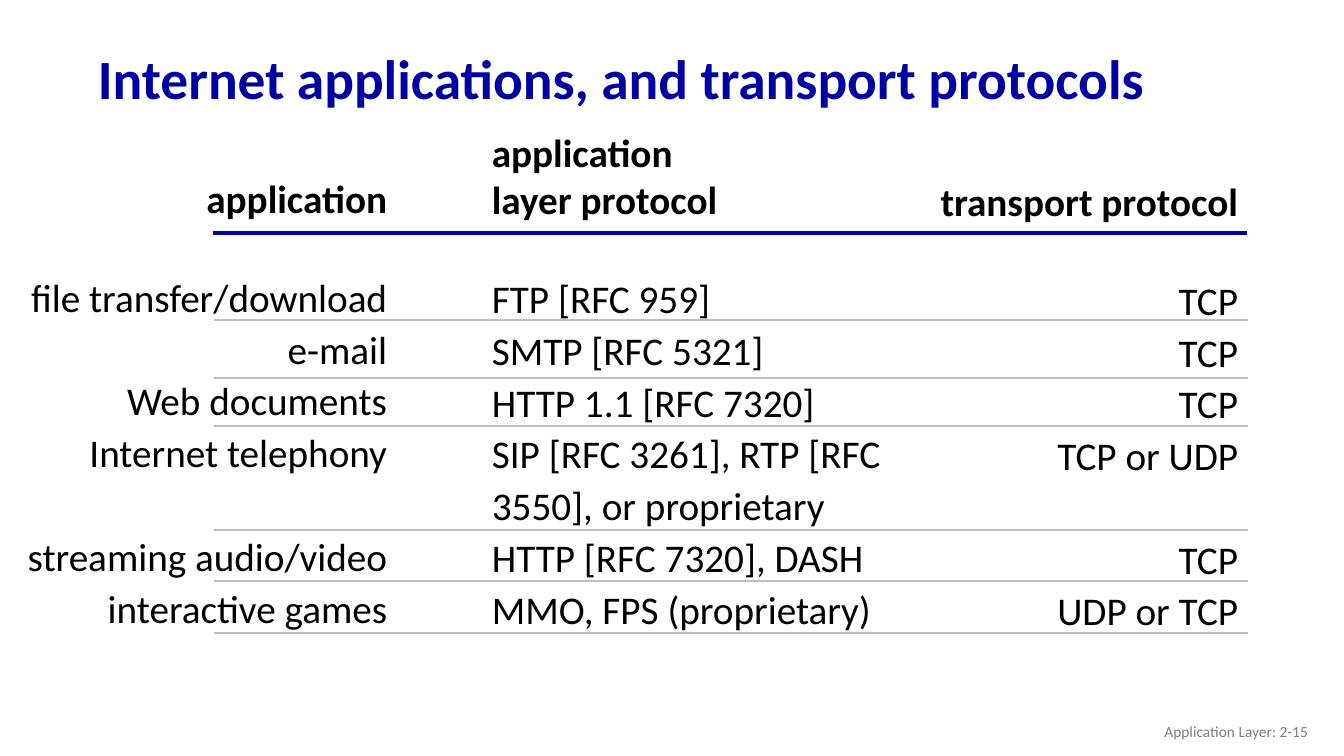
"""Build the slide on Internet applications and their transport protocols."""
import pptx
import pptx.dml.color
import pptx.enum.shapes
import pptx.enum.text
import pptx.oxml
import pptx.util

EMU_PER_PX = 914400 / 100.8
FONT = "Calibri"
COLORS = {
    "title": "0000A3",
    "header_rule": "0000A8",
    "row_rule": "BFBFBF",
    "text": "000000",
    "footer": "7F7F7F",
}
LEFT = pptx.enum.text.PP_ALIGN.LEFT
RIGHT = pptx.enum.text.PP_ALIGN.RIGHT
TABLE_SIZE = 28
HEADER_GAP = 34
EMPTY_ROW_GAP = 37
ROW_RULE_TOPS = (320, 378, 426, 530, 581, 633)


def px(length):
    """Turn a length in px into EMU."""
    return pptx.util.Emu(round(length * EMU_PER_PX))


def color(name):
    """Look up a colour by its name."""
    return pptx.dml.color.RGBColor.from_string(COLORS[name])


def add_box(slide, left, top, width, height, text, middle=False):
    """Add a wrapping text box and return its text frame."""
    shape = slide.shapes.add_textbox(px(left), px(top), px(width), px(height))
    text_frame = shape.text_frame
    text_frame.word_wrap = True
    if middle:
        text_frame.vertical_anchor = pptx.enum.text.MSO_ANCHOR.MIDDLE
    text_frame.text = text
    return text_frame


def style(paragraph, size, color_name, bold=False, align=LEFT):
    """Set the alignment of a paragraph and the font of its runs."""
    paragraph.alignment = align
    for run in paragraph.runs:
        run.font.name = FONT
        run.font.size = pptx.util.Pt(size)
        run.font.bold = bold
        run.font.color.rgb = color(color_name)


def add_label(slide, bounds, text, size, color_name, bold=False, align=LEFT):
    """Add a single line of text centred vertically in its box."""
    paragraph = add_box(slide, *bounds, text, middle=True).paragraphs[0]
    style(paragraph, size, color_name, bold, align)
    return paragraph


def add_column(slide, bounds, headers, rows, align, row_after_gap=None):
    """Add a column with bold header lines above its rows."""
    text_frame = add_box(slide, *bounds, "\n".join(headers + rows))
    for index, paragraph in enumerate(text_frame.paragraphs):
        row = index - len(headers)
        style(paragraph, TABLE_SIZE, "text", row < 0, align)
        if row >= 0:
            paragraph.line_spacing = 1.1
        if row == 0:
            paragraph.space_before = pptx.util.Pt(HEADER_GAP)
        elif row == row_after_gap:
            paragraph.space_before = pptx.util.Pt(EMPTY_ROW_GAP)


def add_rule(slide, left, right, top, color_name, width):
    """Add a horizontal rule without a shadow."""
    connector = slide.shapes.add_connector(
        pptx.enum.shapes.MSO_CONNECTOR.STRAIGHT, px(left), px(top), px(right), px(top)
    )
    connector.line.color.rgb = color(color_name)
    connector.line.width = pptx.util.Pt(width)
    properties = connector._element.spPr
    properties.append(properties.makeelement(pptx.oxml.ns.qn("a:effectLst"), {}))


def main():
    """Build and save the presentation."""
    presentation = pptx.Presentation()
    presentation.slide_width = px(1344)
    presentation.slide_height = px(756)
    slide = presentation.slides.add_slide(presentation.slide_layouts[6])

    title = add_label(
        slide, (88, 32, 1159, 99),
        "Internet applications, and transport protocols", 39.6, "title", bold=True,
    )
    title.line_spacing = 0.9

    add_column(
        slide, (13, 169, 384, 469), ["application"],
        ["file transfer/download", "e-mail", "Web documents", "Internet telephony",
         "streaming audio/video", "interactive games"],
        RIGHT, row_after_gap=4,
    )
    add_rule(slide, 213, 1247, 233, "header_rule", 2.5)
    for top in ROW_RULE_TOPS:
        add_rule(slide, 214, 1248, top, "row_rule", 1.25)
    add_column(
        slide, (482, 123, 444, 569), ["application", "layer protocol"],
        ["FTP [RFC 959]", "SMTP [RFC 5321]", "HTTP 1.1 [RFC 7320]",
         "SIP [RFC 3261], RTP [RFC 3550], or proprietary",
         "HTTP [RFC 7320], DASH", "MMO, FPS (proprietary)"],
        LEFT,
    )
    add_column(
        slide, (926, 172, 322, 469), ["transport protocol"],
        ["TCP", "TCP", "TCP", "TCP or UDP", "TCP", "UDP or TCP"],
        RIGHT, row_after_gap=4,
    )
    add_label(
        slide, (1016, 711, 302, 40), "Application Layer: 2-15", 11, "footer", align=RIGHT
    )
    presentation.save("out.pptx")


if __name__ == "__main__":
    main()
